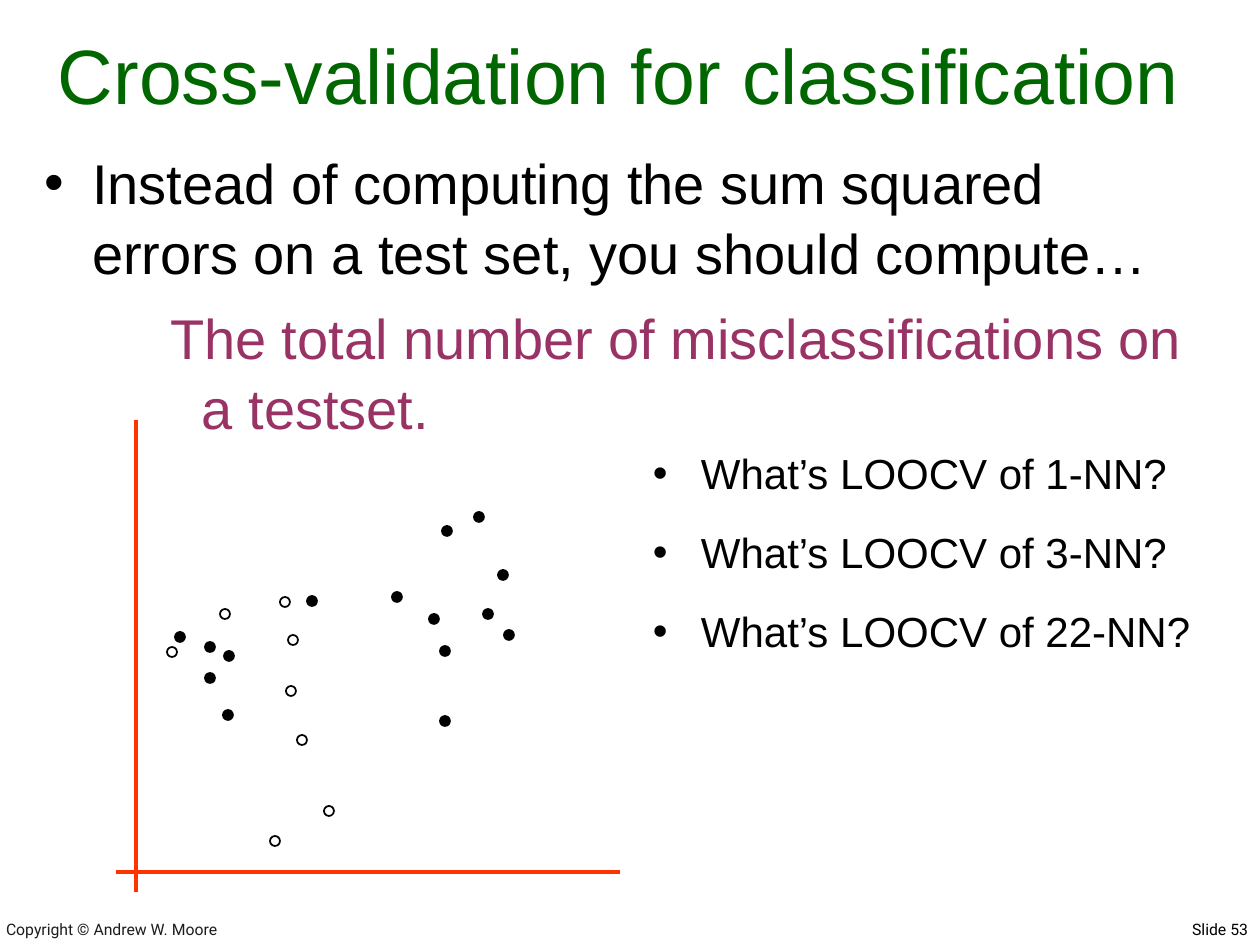
import pptx
import pptx.dml.color
import pptx.enum.shapes
import pptx.enum.text
import pptx.oxml.ns
import pptx.util
from lxml import etree

EMU_PER_PX = 914400 / 126
COLORS = {
    "title": "006600",
    "text": "000000",
    "answer": "993366",
    "footer": "1C1C1C",
    "axis": "FF3300",
    "filled": "000000",
    "hollow": "FFFFFF",
    "outline": "000000",
}
ALIGN = pptx.enum.text.PP_ALIGN
ANCHOR = pptx.enum.text.MSO_ANCHOR

DOT_SIZE = 10
# Dot centres
HOLLOW_DOTS = [(172, 652), (302, 740), (285, 602), (293, 640), (225, 614),
               (291, 691), (329, 811), (275, 841)]
FILLED_DOTS = [(228, 715), (229, 656), (210, 647), (312, 601), (434, 619),
               (488, 614), (509, 635), (397, 597), (479, 517), (447, 531),
               (210, 678), (180, 637), (503, 575), (445, 721), (445, 651)]


def px(value):
    return pptx.util.Emu(round(value * EMU_PER_PX))


def rgb(name):
    return pptx.dml.color.RGBColor.from_string(COLORS[name])


def add_bullet(paragraph):
    properties = paragraph._p.get_or_add_pPr()
    bullet_color = etree.SubElement(properties, pptx.oxml.ns.qn("a:buClr"))
    etree.SubElement(bullet_color, pptx.oxml.ns.qn("a:srgbClr"), val=COLORS["text"])
    etree.SubElement(properties, pptx.oxml.ns.qn("a:buFont"), typeface="Arial")
    etree.SubElement(properties, pptx.oxml.ns.qn("a:buChar"), char="•")


def write_paragraph(paragraph, text, size, color="text", font="Arial",
                    align=ALIGN.LEFT, space_before=0, line_spacing=1.0,
                    margin=0, indent=0, bullet=False):
    if bullet:
        add_bullet(paragraph)
    properties = paragraph._p.get_or_add_pPr()
    properties.set("marL", str(px(margin)))
    properties.set("indent", str(px(indent)))
    paragraph.alignment = align
    paragraph.space_before = pptx.util.Pt(space_before)
    paragraph.line_spacing = line_spacing
    run = paragraph.add_run()
    run.text = text
    run.font.name = font
    run.font.size = pptx.util.Pt(size)
    run.font.color.rgb = rgb(color)


def format_frame(shape, anchor):
    """Set the wrapping, insets and anchor of a text shape; return its frame."""
    frame = shape.text_frame
    frame.word_wrap = True
    frame.auto_size = pptx.enum.text.MSO_AUTO_SIZE.NONE
    frame.vertical_anchor = anchor
    frame.margin_left = frame.margin_right = px(12)
    frame.margin_top = frame.margin_bottom = px(6)
    return frame


def add_text_frame(slide, left, top, width, height, anchor=ANCHOR.TOP):
    shape = slide.shapes.add_textbox(px(left), px(top), px(width), px(height))
    return format_frame(shape, anchor)


def add_footers(slide):
    copyright_frame = add_text_frame(slide, -6, 910, 699, 35, ANCHOR.BOTTOM)
    write_paragraph(copyright_frame.paragraphs[0], "Copyright © Andrew W. Moore",
                    9, color="footer", font="Roboto")
    number_frame = add_text_frame(slide, 766, 914, 494, 34)
    write_paragraph(number_frame.paragraphs[0], "Slide 53", 9, font="Roboto",
                    align=ALIGN.RIGHT)


def add_title(slide, text):
    title = slide.shapes.title
    title.left, title.top, title.width, title.height = map(px, (31, 21, 1176, 105))
    frame = format_frame(title, ANCHOR.BOTTOM)
    write_paragraph(frame.paragraphs[0], text, 44, color="title", align=ALIGN.CENTER)


def add_body(slide):
    frame = add_text_frame(slide, 32, 139, 1181, 300)
    write_paragraph(
        frame.paragraphs[0],
        "Instead of computing the sum squared errors on a test set, you should compute…",
        32, line_spacing=1.05, margin=48, indent=-48, bullet=True)
    write_paragraph(
        frame.add_paragraph(),
        "The total number of misclassifications on a testset.",
        32, color="answer", space_before=8, line_spacing=1.05,
        margin=158, indent=-32)


def add_questions(slide):
    frame = add_text_frame(slide, 641, 439, 590, 294)
    for index, neighbours in enumerate((1, 3, 22)):
        paragraph = frame.add_paragraph() if index else frame.paragraphs[0]
        write_paragraph(paragraph, f"What’s LOOCV of {neighbours}-NN?", 24,
                        space_before=15 if index else 0, line_spacing=1.05,
                        margin=48, indent=-48, bullet=True)


def add_axis(slide, start, end):
    axis = slide.shapes.add_connector(
        pptx.enum.shapes.MSO_CONNECTOR.STRAIGHT, *map(px, start + end))
    axis.line.color.rgb = rgb("axis")
    axis.line.width = pptx.util.Pt(2.25)
    etree.SubElement(axis._element.spPr, pptx.oxml.ns.qn("a:effectLst"))


def add_dot(slide, center, color):
    left, top = (px(value - DOT_SIZE / 2) for value in center)
    dot = slide.shapes.add_shape(pptx.enum.shapes.MSO_SHAPE.OVAL, left, top,
                                 px(DOT_SIZE), px(DOT_SIZE))
    dot.shadow.inherit = False
    dot.fill.solid()
    dot.fill.fore_color.rgb = rgb(color)
    dot.line.color.rgb = rgb("outline")
    dot.line.width = pptx.util.Pt(1)


def add_scatter(slide):
    add_axis(slide, (136, 420), (136, 892))
    add_axis(slide, (620, 872), (116, 872))
    for color, centers in (("hollow", HOLLOW_DOTS), ("filled", FILLED_DOTS)):
        for center in centers:
            add_dot(slide, center, color)


def main():
    presentation = pptx.Presentation()
    presentation.slide_width = px(1260)
    presentation.slide_height = px(945)
    slide = presentation.slides.add_slide(presentation.slide_layouts[5])
    add_footers(slide)
    add_title(slide, "Cross-validation for classification")
    add_body(slide)
    add_scatter(slide)
    add_questions(slide)
    presentation.save("out.pptx")


if __name__ == "__main__":
    main()
